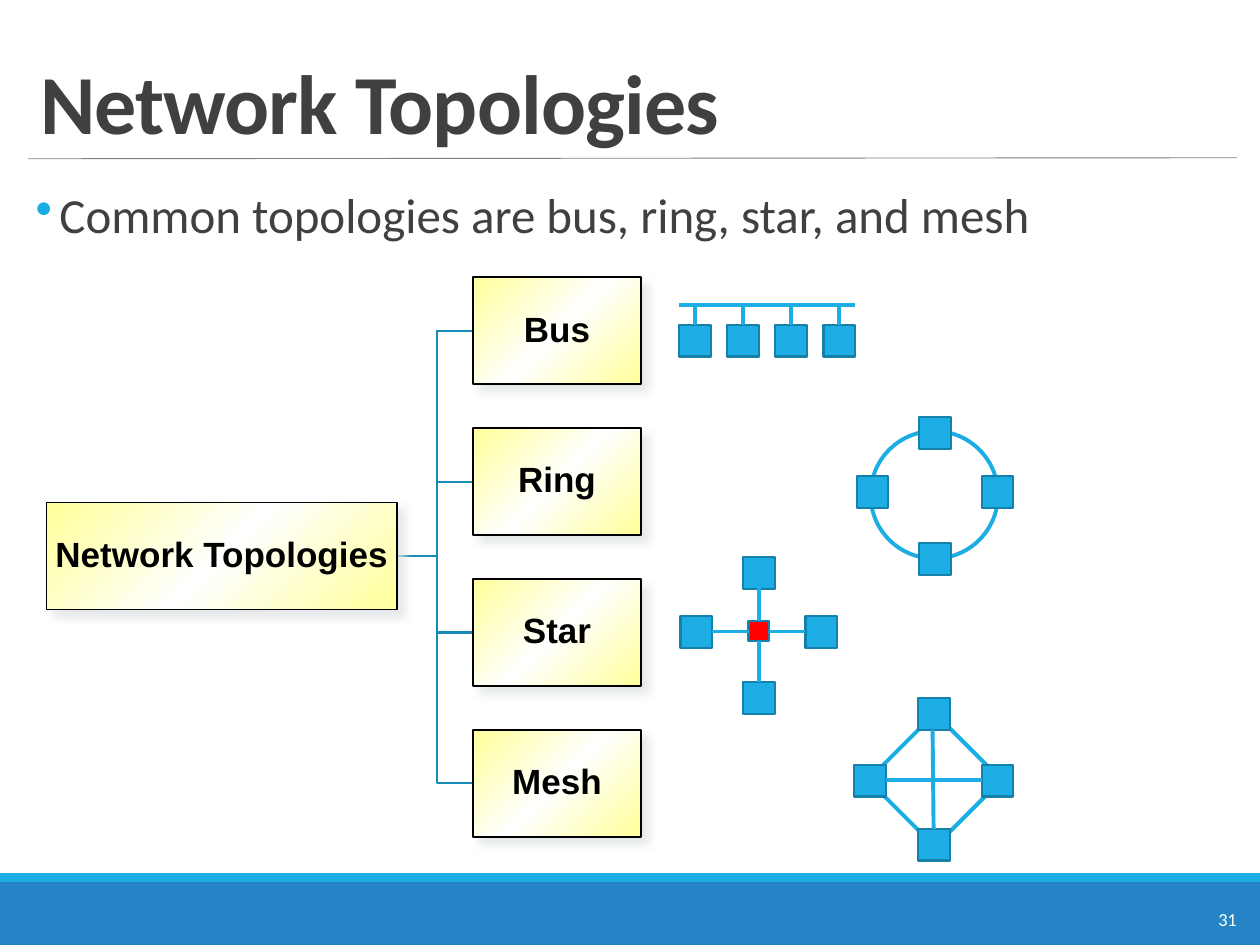
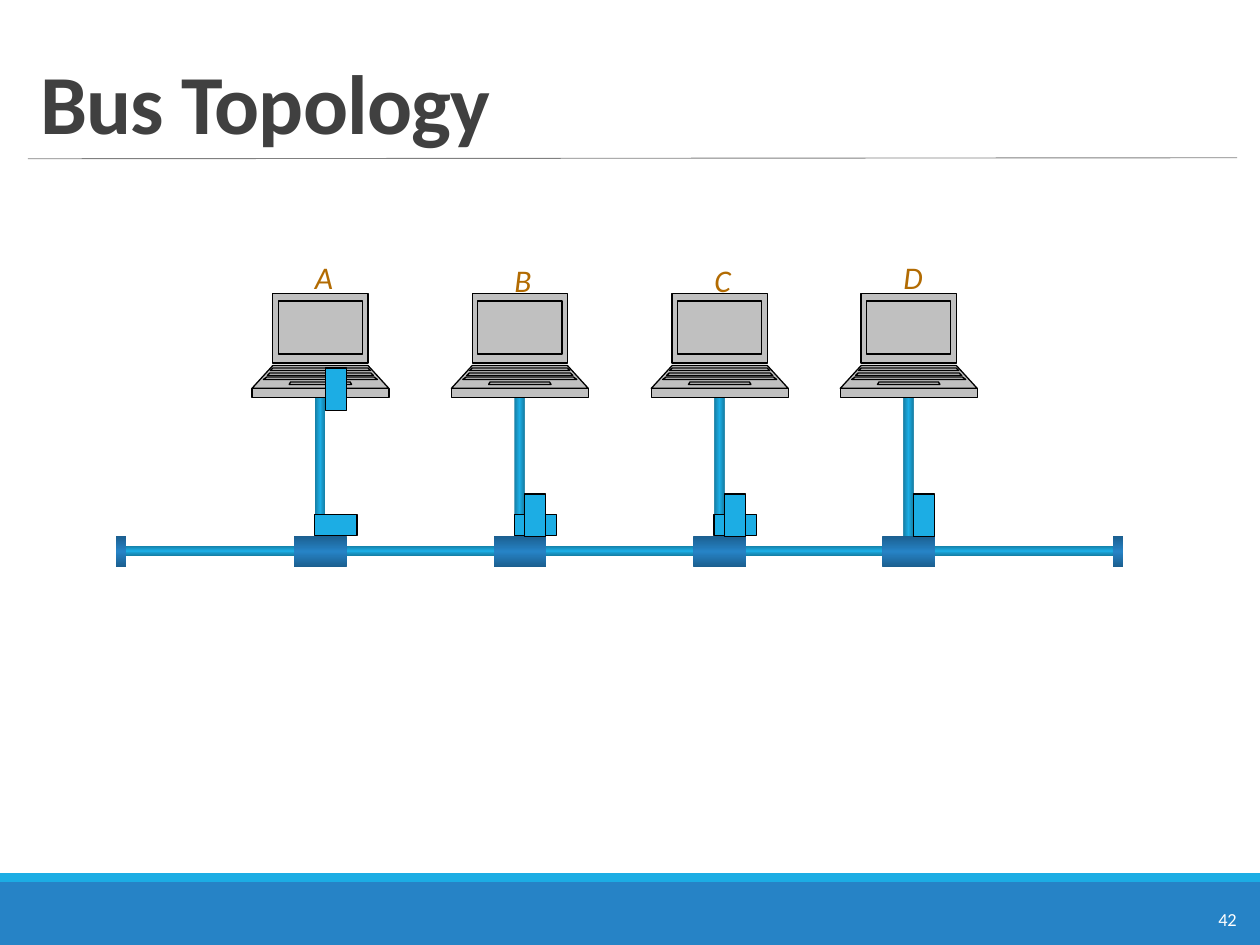
"""Build two slides on network topologies: an overview tree and a bus diagram."""
import copy
from dataclasses import dataclass
from typing import NamedTuple, Optional, Sequence

import lxml.etree
import pptx
import pptx.dml.color
import pptx.enum.shapes
import pptx.enum.text
import pptx.oxml
import pptx.oxml.ns
import pptx.shapes.autoshape
import pptx.shapes.connector
import pptx.slide
import pptx.text.text
import pptx.util

Cm = pptx.util.Cm
Pt = pptx.util.Pt
Preset = pptx.enum.shapes.MSO_SHAPE
Anchor = pptx.enum.text.MSO_ANCHOR
Align = pptx.enum.text.PP_ALIGN
Slide = pptx.slide.Slide
Shape = pptx.shapes.autoshape.Shape
qn = pptx.oxml.ns.qn


@dataclass(frozen=True)
class TextStyle:
    font: str
    size: float
    colour: str
    bold: bool = False
    italic: bool = False
    tracking: int = 0
    line_spacing: Optional[float] = None


@dataclass(frozen=True)
class Theme:
    band: str = "2683C6"
    band_edge: str = "1B5E8E"
    accent: str = "1CADE4"
    accent_edge: str = "147CA3"
    node_line: str = "1580A9"
    tree_line: str = "168BB7"
    rule: str = "808080"
    black: str = "000000"
    hub: str = "FF0000"
    laptop: str = "C0C0C0"
    box_edge: str = "FFFF99"
    box_middle: str = "FFFFFF"
    box_shadow: str = "DFE3E5"
    title: TextStyle = TextStyle("Calibri", 48, "404040", bold=True, tracking=-50, line_spacing=0.85)
    body: TextStyle = TextStyle("Calibri", 28, "404040", line_spacing=0.9)
    number: TextStyle = TextStyle("Calibri", 10.5, "FFFFFF")
    box: TextStyle = TextStyle("Arial", 20, "000000", bold=True, line_spacing=0.9)
    label: TextStyle = TextStyle("Calibri", 18, "B26B02", italic=True)


THEME = Theme()


class Box(NamedTuple):
    left: float
    top: float
    width: float
    height: float


class Point(NamedTuple):
    x: float
    y: float


class Cross(NamedTuple):
    """Four nodes around a centre."""
    left: float
    top: float
    across: float
    down: float
    side_drop: float


class Trapezoid(NamedTuple):
    """Outline with equal insets on both sides."""
    top_inset: float
    bottom_inset: float
    top: float
    bottom: float


class Station(NamedTuple):
    name: str
    left: float
    label_top: float
    upright_top: float
    lying_packet: bool


NODE = 0.64
LAPTOP_WIDTH, LAPTOP_TOP = 2.76, 5.92
LAPTOP_PARTS = (
    Trapezoid(0.42, 0.42, 0, 1.4),
    Trapezoid(0.42, 0, 1.45, 1.91),
    Trapezoid(0, 0, 1.91, 2.09),
    Trapezoid(0.53, 0.53, 0.15, 1.22),
    Trapezoid(0.42, 0.37, 1.5, 1.55),
    Trapezoid(0.78, 0.75, 1.78, 1.83),
    Trapezoid(0.36, 0.31, 1.6, 1.65),
    Trapezoid(0.3, 0.23, 1.68, 1.73),
)
STATIONS = (
    Station("A", 5.08, 5.08, 7.42, True),
    Station("B", 9.1, 5.13, 9.96, True),
    Station("C", 13.13, 5.13, 9.96, True),
    Station("D", 16.94, 5.08, 9.96, False),
)


def rgb(colour: str) -> pptx.dml.color.RGBColor:
    return pptx.dml.color.RGBColor.from_string(colour)


def paint(shape: Shape, fill: Optional[str], line: Optional[str] = None, width: float = 1) -> None:
    shape.shadow.inherit = False
    if fill:
        shape.fill.solid()
        shape.fill.fore_color.rgb = rgb(fill)
    else:
        shape.fill.background()
    if line:
        shape.line.color.rgb = rgb(line)
        shape.line.width = Pt(width)
    else:
        shape.line.fill.background()


def add_box(slide: Slide, box: Box, fill: Optional[str], line: Optional[str] = None,
            width: float = 1, preset: Preset = Preset.RECTANGLE) -> Shape:
    shape = slide.shapes.add_shape(preset, *map(Cm, box))
    paint(shape, fill, line, width)
    return shape


def set_gradient(shape: Shape, edge: str, middle: str, angle: int) -> None:
    shape.fill.gradient()
    gradient = shape._element.spPr.find(qn("a:gradFill"))
    stops = "".join(f'<a:gs pos="{position}"><a:srgbClr val="{colour}"/></a:gs>'
                    for position, colour in ((0, edge), (50000, middle), (100000, edge)))
    replacement = pptx.oxml.parse_xml(
        f'<a:gradFill {pptx.oxml.ns.nsdecls("a")} rotWithShape="1"><a:gsLst>{stops}</a:gsLst>'
        f'<a:lin ang="{angle * 60000}" scaled="0"/></a:gradFill>')
    gradient.getparent().replace(gradient, replacement)


def set_shadow(shape: Shape, colour: str) -> None:
    effects = shape._element.spPr.find(qn("a:effectLst"))
    effects.append(pptx.oxml.parse_xml(
        f'<a:outerShdw {pptx.oxml.ns.nsdecls("a")} blurRad="{Pt(5)}" dist="{Pt(5.7)}" dir="2700000" '
        f'algn="ctr" rotWithShape="0"><a:srgbClr val="{colour}"><a:alpha val="75000"/></a:srgbClr>'
        '</a:outerShdw>'))


def add_line(slide: Slide, start: Point, end: Point, colour: str, width: float) -> None:
    connector = slide.shapes.add_connector(
        pptx.enum.shapes.MSO_CONNECTOR.STRAIGHT, *map(Cm, (*start, *end)))
    connector.line.color.rgb = rgb(colour)
    connector.line.width = Pt(width)
    lxml.etree.SubElement(connector._element.spPr, qn("a:effectLst"))


def write(frame: pptx.text.text.TextFrame, text: str, style: TextStyle) -> pptx.text.text._Paragraph:
    paragraph = frame.paragraphs[0]
    if style.line_spacing:
        paragraph.line_spacing = style.line_spacing
    run = paragraph.add_run()
    run.text = text
    run.font.name = style.font
    run.font.size = Pt(style.size)
    run.font.bold = style.bold
    run.font.italic = style.italic
    run.font.color.rgb = rgb(style.colour)
    if style.tracking:
        run._r.get_or_add_rPr().set("spc", str(style.tracking))
    return paragraph


def add_text(slide: Slide, box: Box, text: str, style: TextStyle, wrap: bool = False) -> Shape:
    shape = slide.shapes.add_textbox(*map(Cm, box))
    shape.text_frame.word_wrap = wrap
    if not wrap:
        shape.text_frame.auto_size = pptx.enum.text.MSO_AUTO_SIZE.SHAPE_TO_FIT_TEXT
    write(shape.text_frame, text, style)
    return shape


def add_base(presentation: pptx.presentation.Presentation, title: str, number: int) -> Slide:
    slide = presentation.slides.add_slide(presentation.slide_layouts[6])
    add_box(slide, Box(0, 17.78, 25.4, 1.27), THEME.band)
    add_box(slide, Box(0, 17.6, 25.4, 0.18), THEME.accent)
    add_line(slide, Point(0.56, 3.2), Point(24.94, 3.18), THEME.rule, 0.5)
    add_text(slide, Box(24.31, 18.19, 0.94, 0.71), str(number), THEME.number)
    heading = add_text(slide, Box(0.56, 0.64, 24.38, 2.54), title, THEME.title, wrap=True)
    heading.text_frame.vertical_anchor = Anchor.BOTTOM
    return slide


def add_bullet(slide: Slide, text: str) -> None:
    shape = slide.shapes.add_textbox(*map(Cm, (0.56, 3.73, 24.38, 12.57)))
    frame = shape.text_frame
    frame.word_wrap = True
    frame.margin_left = frame.margin_right = 0
    properties = frame.paragraphs[0]._p.get_or_add_pPr()
    properties.set("marL", str(Cm(0.64)))
    properties.set("indent", str(Cm(-0.48)))
    colour = lxml.etree.SubElement(properties, qn("a:buClr"))
    lxml.etree.SubElement(colour, qn("a:srgbClr")).set("val", THEME.accent)
    lxml.etree.SubElement(properties, qn("a:buChar")).set("char", "•")
    write(frame, text, THEME.body).space_after = Pt(2)


def add_tree_box(slide: Slide, box: Box, text: str) -> None:
    shape = add_box(slide, box, None, THEME.black, 1)
    set_gradient(shape, THEME.box_edge, THEME.box_middle, 45)
    set_shadow(shape, THEME.box_shadow)
    frame = shape.text_frame
    frame.margin_left = frame.margin_right = frame.margin_top = frame.margin_bottom = Cm(0.03)
    frame.vertical_anchor = Anchor.MIDDLE
    write(frame, text, THEME.box).alignment = Align.CENTER


def add_tree(slide: Slide, root_text: str, branches: Sequence[str]) -> None:
    root = Box(0.94, 10.13, 7.06, 2.16)
    boxes = [Box(9.53, 5.59 + 3.04 * index, 3.4, 2.16) for index in range(len(branches))]
    start = Point(root.left + root.width, root.top + root.height / 2)
    for box in boxes:
        middle = box.top + box.height / 2
        corners = ((8.81, start.y), (8.81, middle), (box.left, middle))
        builder = slide.shapes.build_freeform(*map(Cm, start))
        builder.add_line_segments([tuple(map(Cm, corner)) for corner in corners], close=False)
        paint(builder.convert_to_shape(), None, THEME.tree_line, 1.25)
    add_tree_box(slide, root, root_text)
    for box, text in zip(boxes, branches):
        add_tree_box(slide, box, text)


def add_node(slide: Slide, left: float, top: float, size: float = NODE, fill: str = THEME.accent) -> None:
    add_box(slide, Box(left, top, size, size), fill, THEME.node_line, 1.25)


def add_cross(slide: Slide, cross: Cross) -> None:
    middle, side = cross.left + cross.across / 2, cross.top + cross.side_drop
    for left, top in ((cross.left, side), (middle, cross.top + cross.down),
                      (middle, cross.top), (cross.left + cross.across, side)):
        add_node(slide, left, top)


def link(slide: Slide, x1: float, y1: float, x2: float, y2: float) -> None:
    add_line(slide, Point(x1, y1), Point(x2, y2), THEME.accent, 2.25)


def add_topology_icons(slide: Slide) -> None:
    bus_left, bus_top, node_top = 13.69, 6.15, 6.55
    lefts = [bus_left + 0.97 * index for index in range(4)]
    for left in lefts:
        add_node(slide, left, node_top)
        link(slide, left + NODE / 2, node_top, left + NODE / 2, bus_top)
    link(slide, bus_left, bus_top, lefts[-1] + NODE, bus_top)

    add_box(slide, Box(17.55, 8.69, 2.57, 2.57), None, THEME.accent, 2.25, Preset.OVAL)
    add_cross(slide, Cross(17.27, 8.41, 2.52, 2.54, 1.19))

    add_cross(slide, Cross(13.72, 11.23, 2.52, 2.52, 1.19))
    add_node(slide, 15.09, 12.52, 0.41, THEME.hub)
    for ends in ((15.3, 11.86, 15.3, 12.52), (15.09, 12.73, 14.35, 12.73),
                 (15.3, 12.93, 15.3, 13.74), (15.5, 12.73, 16.23, 12.73)):
        link(slide, *ends)

    add_box(slide, Box(17.5, 14.38, 2.69, 2.69), None, THEME.accent, 2.25, Preset.DIAMOND)
    add_cross(slide, Cross(17.22, 14.07, 2.57, 2.64, 1.35))
    link(slide, 18.8, 14.71, 18.82, 16.71)
    link(slide, 17.86, 15.73, 19.79, 15.73)


def add_pipe(slide: Slide, box: Box, edge: str, middle: str, angle: int = 90) -> None:
    set_gradient(add_box(slide, box, None), edge, middle, angle)


def add_laptop(slide: Slide, left: float) -> None:
    builder = slide.shapes.build_freeform(Cm(LAPTOP_PARTS[0].top_inset), 0)
    for part in LAPTOP_PARTS:
        corners = [(part.top_inset, part.top), (part.bottom_inset, part.bottom),
                   (LAPTOP_WIDTH - part.bottom_inset, part.bottom),
                   (LAPTOP_WIDTH - part.top_inset, part.top)]
        points = [tuple(map(Cm, corner)) for corner in corners]
        if part is not LAPTOP_PARTS[0]:
            builder.move_to(*points[0])
        builder.add_line_segments(points[1:], close=True)
    shape = builder.convert_to_shape(Cm(left), Cm(LAPTOP_TOP))
    paint(shape, THEME.laptop, THEME.black, 0.75)
    combined = shape._element.find(".//" + qn("a:path"))
    outlines = combined.getparent()
    steps = list(combined)
    for step in steps:
        combined.remove(step)
    for step in steps:
        if step.tag == qn("a:moveTo"):
            outline = copy.deepcopy(combined)
            outlines.append(outline)
        outline.append(step)
    outlines.remove(combined)


def add_station(slide: Slide, station: Station) -> None:
    left = station.left
    add_pipe(slide, Box(left + 1.27, 7.42, 0.21, 3.81), THEME.accent_edge, THEME.accent, 0)
    add_pipe(slide, Box(left + 0.85, 10.8, 1.06, 0.64), THEME.band_edge, THEME.band)
    add_laptop(slide, left)
    packet = Box(left + 1.48, 10.16, 0.42, 0.85)
    if station.lying_packet:
        add_box(slide, packet, THEME.accent, THEME.black, 0.75).rotation = 90
    add_box(slide, packet._replace(top=station.upright_top), THEME.accent, THEME.black, 0.75)
    add_text(slide, Box(left + 1.02, station.label_top, 0.9, 1.02), station.name, THEME.label)


def main() -> None:
    presentation = pptx.Presentation()
    presentation.slide_width, presentation.slide_height = Cm(25.4), Cm(19.05)

    overview = add_base(presentation, "Network Topologies", 31)
    add_bullet(overview, "Common topologies are bus, ring, star, and mesh")
    add_tree(overview, "Network Topologies", ("Bus", "Ring", "Star", "Mesh"))
    add_topology_icons(overview)

    bus = add_base(presentation, "Bus Topology", 42)
    add_pipe(bus, Box(2.54, 11, 19.89, 0.21), THEME.accent_edge, THEME.accent)
    for left in (2.33, 22.43):
        add_pipe(bus, Box(left, 10.8, 0.21, 0.64), THEME.band_edge, THEME.band)
    for station in STATIONS:
        add_station(bus, station)

    presentation.save("out.pptx")


if __name__ == "__main__":
    main()
